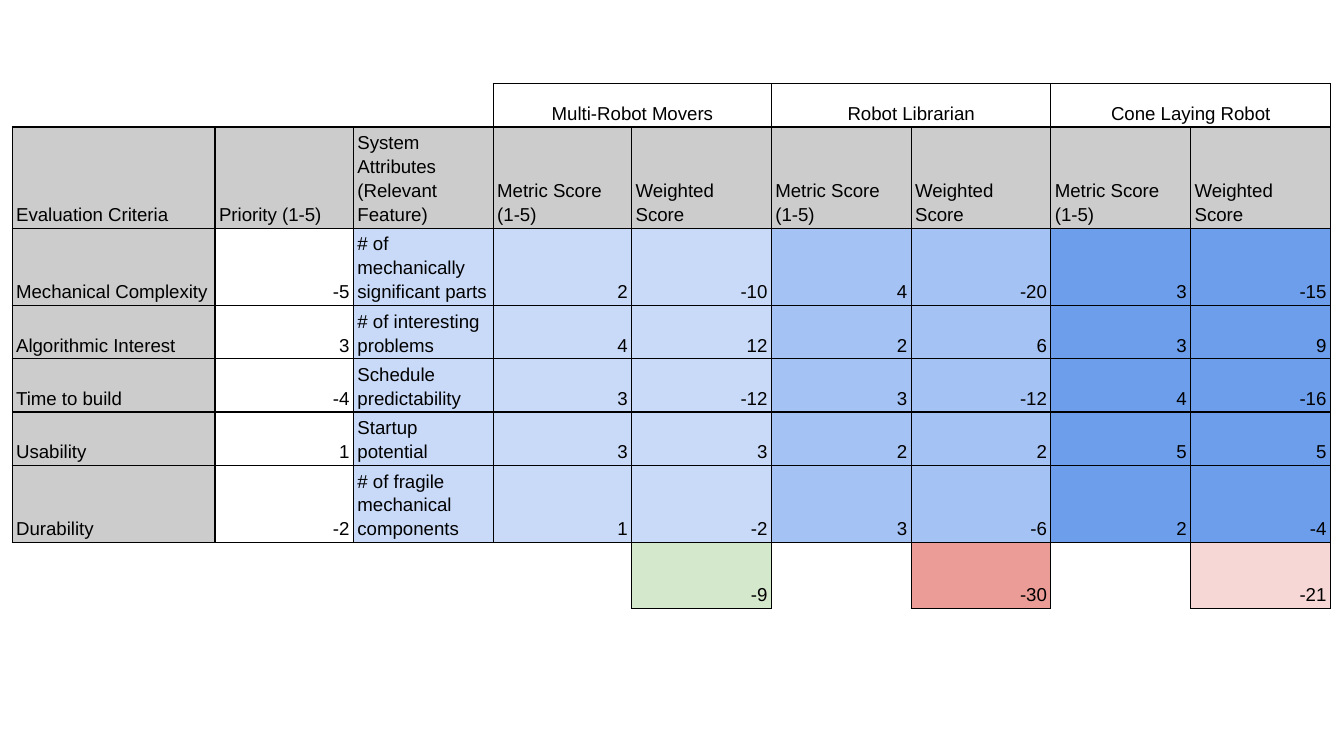
from pptx import Presentation
from pptx.dml.color import RGBColor
from pptx.enum.text import MSO_ANCHOR, PP_ALIGN
from pptx.oxml.xmlchemy import OxmlElement
from pptx.util import Inches, Pt

LEFT, CENTER, RIGHT = PP_ALIGN.LEFT, PP_ALIGN.CENTER, PP_ALIGN.RIGHT
BOTTOM = MSO_ANCHOR.BOTTOM
COLORS = {
    "ink": "000000", "heading": "CCCCCC",
    "movers": "C9DAF8", "librarian": "A4C2F4", "cones": "6D9EEB",
    "best": "D4E8CC", "worst": "EC9C96", "middle": "F7D7D5",
}
CELL_FORMAT = {
    "vertical_anchor": BOTTOM,
    "margin_left": Inches(0.03), "margin_right": Inches(0.03),
    "margin_top": Inches(0.02), "margin_bottom": Inches(0.02),
}
EMPTY_FORMAT = {"margin_top": Inches(0.01), "margin_bottom": Inches(0.01)}
FONT_FORMAT = {"name": "Arial", "size": Pt(10)}
PLAIN_TABLE = {"first_row": False, "horz_banding": False}
SIDES = {"lnL": (0, -1), "lnR": (0, 1), "lnT": (-1, 0), "lnB": (1, 0)}

COLUMNS = [1.51, 1.03, 1.04, 1.03] + [1.04] * 5
ROWS = [0.22, 0.68, 0.52, 0.36, 0.36, 0.36, 0.52, 0.49]
CONCEPTS = {
    "Multi-Robot Movers": ("movers", [2, 4, 3, 3, 1], "best"),
    "Robot Librarian": ("librarian", [4, 2, 3, 2, 3], "worst"),
    "Cone Laying Robot": ("cones", [3, 3, 4, 5, 2], "middle"),
}
CRITERIA = [
    ("Mechanical Complexity", -5, "# of mechanically significant parts"),
    ("Algorithmic Interest", 3, "# of interesting problems"),
    ("Time to build", -4, "Schedule predictability"),
    ("Usability", 1, "Startup potential"),
    ("Durability", -2, "# of fragile mechanical components"),
]
HEADINGS = ["Evaluation Criteria", "Priority (1-5)",
            "System Attributes (Relevant Feature)"]
SCORE_HEADINGS = ["Metric Score (1-5)", "Weighted Score"]


def apply(target, values):
    for name, value in values.items():
        setattr(target, name, value)


class Sheet:
    """Draws bordered tables on the current slide in one style."""

    def __init__(self, width, ratio):
        self.deck = Presentation()
        apply(self.deck, {"slide_width": Inches(width),
                          "slide_height": Inches(width * ratio)})
        self.slide = self.deck.slides.add_slide(self.deck.slide_layouts[6])

    def table(self, left, top, columns, rows, content, merges):
        frame = self.slide.shapes.add_table(
            len(rows), len(columns), Inches(left), Inches(top),
            Inches(sum(columns)), Inches(sum(rows)))
        table = frame.table
        apply(table, PLAIN_TABLE)
        for column, width in zip(table.columns, columns):
            column.width = Inches(width)
        for row, height in zip(table.rows, rows):
            row.height = Inches(height)
        for row in range(len(rows)):
            for column in range(len(columns)):
                cell = table.cell(row, column)
                apply(cell, CELL_FORMAT)
                self.fill(cell, content.get((row, column)))
                self.borders(cell, row, column, content)
        for row, column in merges:
            table.cell(row, column).merge(table.cell(row, column + 1))

    def fill(self, cell, entry):
        text, color, align = entry or ("", None, LEFT)
        if color:
            cell.fill.solid()
            cell.fill.fore_color.rgb = RGBColor.from_string(COLORS[color])
        else:
            cell.fill.background()
        if text == "":
            apply(cell, EMPTY_FORMAT)
            return
        para = cell.text_frame.paragraphs[0]
        apply(para, {"alignment": align, "line_spacing": 1.15})
        span = para.add_run()
        span.text = str(text)
        apply(span.font, FONT_FORMAT)
        span.font.color.rgb = RGBColor.from_string(COLORS["ink"])

    def borders(self, cell, row, column, content):
        properties = cell._tc.get_or_add_tcPr()
        for index, (side, (down, across)) in enumerate(SIDES.items()):
            line = OxmlElement("a:" + side)
            line.set("w", str(Pt(0.75)))
            if (row, column) in content or (row + down, column + across) in content:
                paint = OxmlElement("a:solidFill")
                color = OxmlElement("a:srgbClr")
                color.set("val", COLORS["ink"])
                paint.append(color)
            else:
                paint = OxmlElement("a:noFill")
            line.append(paint)
            properties.insert(index, line)


content, merges = {}, []
for column, heading in enumerate(HEADINGS):
    content[1, column] = (heading, "heading", LEFT)
for row, (criterion, priority, feature) in enumerate(CRITERIA, 2):
    content[row, 0] = (criterion, "heading", LEFT)
    content[row, 1] = (priority, None, RIGHT)
    content[row, 2] = (feature, "movers", LEFT)

for index, (concept, (color, scores, rank)) in enumerate(CONCEPTS.items()):
    first = len(HEADINGS) + 2 * index
    merges.append((0, first))
    content[0, first] = (concept, None, CENTER)
    content[0, first + 1] = ("", None, CENTER)
    for offset, heading in enumerate(SCORE_HEADINGS):
        content[1, first + offset] = (heading, "heading", LEFT)
    weighted = [score * item[1] for score, item in zip(scores, CRITERIA)]
    for row, pair in enumerate(zip(scores, weighted), 2):
        for offset, value in enumerate(pair):
            content[row, first + offset] = (value, color, RIGHT)
    content[len(ROWS) - 1, first + 1] = (sum(weighted), rank, RIGHT)

sheet = Sheet(10, 9 / 16)
sheet.table(0.09, 0.62, COLUMNS, ROWS, content, merges)
sheet.deck.save("out.pptx")
